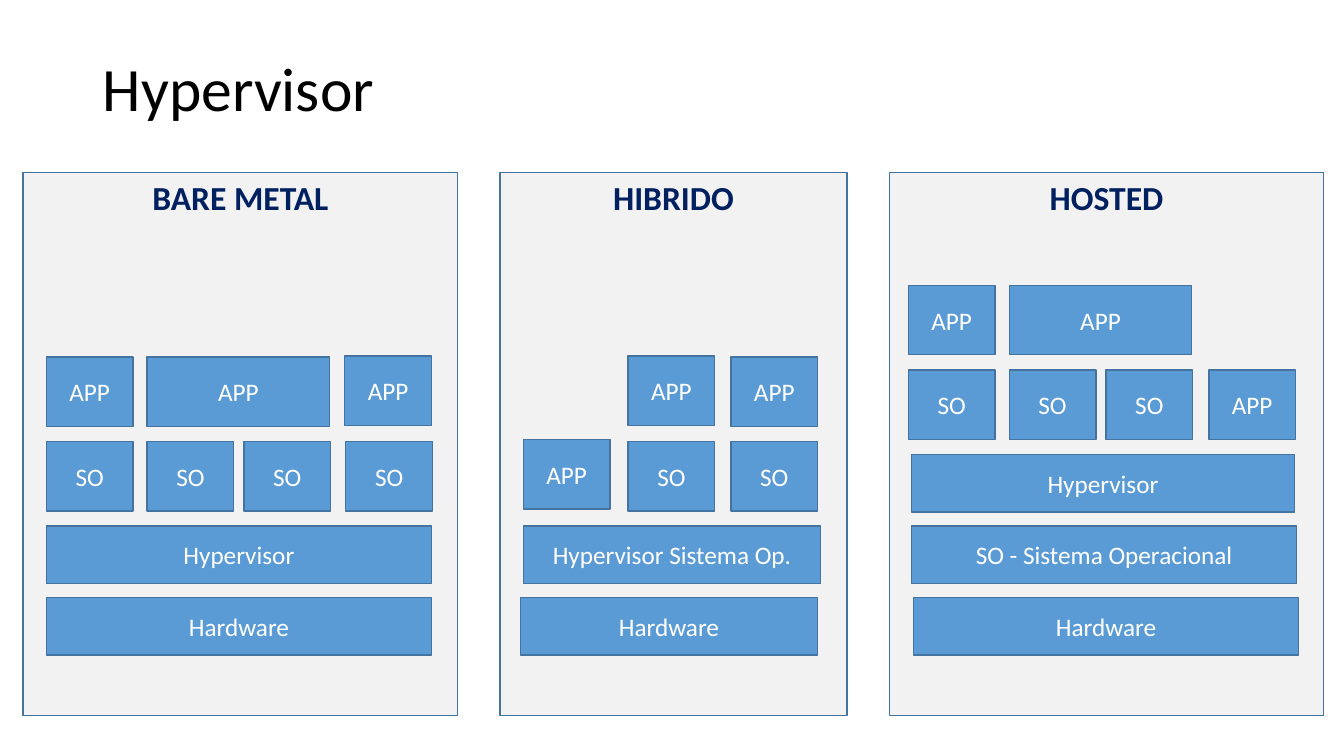
"""Build a slide comparing bare metal, hybrid and hosted hypervisors."""
from dataclasses import dataclass

from pptx import Presentation
from pptx.dml.color import RGBColor
from pptx.enum.shapes import MSO_SHAPE
from pptx.enum.text import MSO_ANCHOR, PP_ALIGN
from pptx.util import Inches, Pt


@dataclass(frozen=True)
class Theme:
    font: str = "Calibri"
    title_color: str = "000000"
    heading_color: str = "002060"
    label_color: str = "FFFFFF"
    panel_fill: str = "F2F2F2"
    block_fill: str = "5B9BD5"
    outline: str = "43739E"
    title_size: int = 44
    heading_size: int = 24
    label_size: int = 18


PANEL_TOP, PANEL_HEIGHT = 1.71, 5.39
CELL_WIDTH, CELL_HEIGHT, BAR_HEIGHT = 0.86, 0.69, 0.57
WIDE_CELL = 1.81
HARDWARE_TOP, SYSTEM_TOP, HOSTED_TOP = 5.93, 5.22, 4.51

PANELS = [
    ("BARE METAL", 0.23, 4.31,
     [("Hardware", 0.46, HARDWARE_TOP, 3.82),
      ("Hypervisor", 0.46, SYSTEM_TOP, 3.82)],
     [("SO", 0.46, 4.38, CELL_WIDTH), ("SO", 1.46, 4.38, CELL_WIDTH),
      ("SO", 2.42, 4.38, CELL_WIDTH), ("SO", 3.43, 4.38, CELL_WIDTH),
      ("APP", 0.46, 3.54, CELL_WIDTH), ("APP", 1.46, 3.54, WIDE_CELL),
      ("APP", 3.42, 3.53, CELL_WIDTH)]),
    ("HIBRIDO", 4.96, 3.44,
     [("Hardware", 5.16, HARDWARE_TOP, 2.95),
      ("Hypervisor Sistema Op.", 5.19, SYSTEM_TOP, 2.95)],
     [("APP", 5.19, 4.36, CELL_WIDTH), ("SO", 6.23, 4.38, CELL_WIDTH),
      ("SO", 7.25, 4.38, CELL_WIDTH), ("APP", 6.23, 3.53, CELL_WIDTH),
      ("APP", 7.25, 3.54, CELL_WIDTH)]),
    ("HOSTED", 8.82, 4.31,
     [("Hardware", 9.06, HARDWARE_TOP, 3.82),
      ("SO - Sistema Operacional", 9.04, SYSTEM_TOP, 3.82),
      ("Hypervisor", 9.04, HOSTED_TOP, 3.8)],
     [("SO", 9.01, 3.67, CELL_WIDTH), ("SO", 10.01, 3.67, CELL_WIDTH),
      ("SO", 10.97, 3.67, CELL_WIDTH), ("APP", 11.99, 3.67, CELL_WIDTH),
      ("APP", 9.01, 2.83, CELL_WIDTH), ("APP", 10.01, 2.83, WIDE_CELL)]),
]


class SlideBuilder:
    def __init__(self, page, theme):
        self.page = page
        self.theme = theme

    def style(self, para, size, color, bold=False):
        para.font.name = self.theme.font
        para.font.size = Pt(size)
        para.font.bold = bold
        para.font.color.rgb = RGBColor.from_string(color)

    def title(self, text, left, top, width, height):
        box = self.page.shapes.title
        box.left, box.top = Inches(left), Inches(top)
        box.width, box.height = Inches(width), Inches(height)
        frame = box.text_frame
        frame.text = text
        frame.vertical_anchor = MSO_ANCHOR.MIDDLE
        para = frame.paragraphs[0]
        para.alignment = PP_ALIGN.LEFT
        para.line_spacing = 0.9
        self.style(para, self.theme.title_size, self.theme.title_color)

    def rectangle(self, group, text, left, top, width, height, fill, anchor):
        box = group.shapes.add_shape(
            MSO_SHAPE.RECTANGLE, Inches(left), Inches(top), Inches(width), Inches(height))
        box.shadow.inherit = False
        box.fill.solid()
        box.fill.fore_color.rgb = RGBColor.from_string(fill)
        box.line.color.rgb = RGBColor.from_string(self.theme.outline)
        box.line.width = Pt(1)
        frame = box.text_frame
        frame.text = text
        frame.word_wrap = True
        frame.vertical_anchor = anchor
        para = frame.paragraphs[0]
        para.alignment = PP_ALIGN.CENTER
        return para

    def block(self, group, text, left, top, width, height):
        para = self.rectangle(group, text, left, top, width, height,
                              self.theme.block_fill, MSO_ANCHOR.MIDDLE)
        self.style(para, self.theme.label_size, self.theme.label_color)

    def panel(self, heading, left, width, bars, cells):
        group = self.page.shapes.add_group_shape()
        para = self.rectangle(group, heading, left, PANEL_TOP, width, PANEL_HEIGHT,
                              self.theme.panel_fill, MSO_ANCHOR.TOP)
        self.style(para, self.theme.heading_size, self.theme.heading_color, bold=True)
        for bar in bars:
            self.block(group, *bar, BAR_HEIGHT)
        for cell in cells:
            self.block(group, *cell, CELL_HEIGHT)


def main():
    deck = Presentation()
    deck.slide_width, deck.slide_height = Inches(13.33), Inches(7.5)
    page = deck.slides.add_slide(deck.slide_layouts[5])
    builder = SlideBuilder(page, Theme())
    builder.title("Hypervisor", 0.92, 0.4, 11.5, 1.02)
    for panel in PANELS:
        builder.panel(*panel)
    deck.save("out.pptx")


if __name__ == "__main__":
    main()
